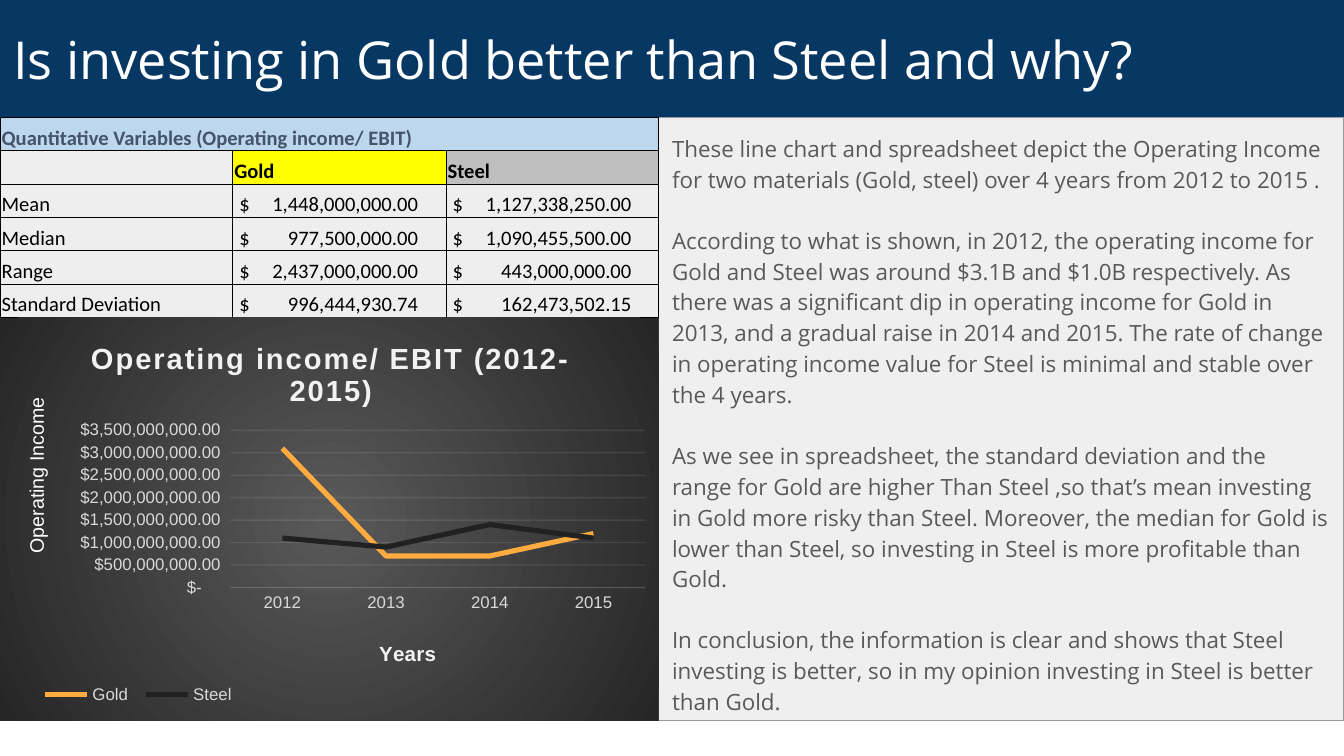
import lxml.etree
import pptx
import pptx.chart.data
import pptx.dml.color
import pptx.enum.chart
import pptx.enum.shapes
import pptx.enum.text
import pptx.oxml
import pptx.oxml.ns
import pptx.util

RGB = pptx.dml.color.RGBColor
NAVY = RGB(0x07, 0x37, 0x63)
WHITE = RGB(0xFF, 0xFF, 0xFF)
BLACK = RGB(0, 0, 0)
PANEL = RGB(0xEF, 0xEF, 0xEF)
PANEL_LINE = RGB(0x99, 0x99, 0x99)
BACKING = RGB(0xEE, 0xEE, 0xEE)
GREY = RGB(0x59, 0x59, 0x59)
SLATE = RGB(0x44, 0x54, 0x6A)
SKY = RGB(0xBD, 0xD7, 0xEE)
YELLOW = RGB(0xFF, 0xFF, 0)
SILVER = RGB(0xBF, 0xBF, 0xBF)
PALE = RGB(0xF2, 0xF2, 0xF2)
LABEL = RGB(0xD9, 0xD9, 0xD9)
ORANGE = RGB(0xFF, 0xAB, 0x40)
COAL = RGB(0x21, 0x21, 0x21)

EMU_PER_PX = 5715
TITLE = "Is investing in Gold better than Steel and why?"
COMMENTARY = [
    "These line chart and spreadsheet depict the Operating Income for two materials (Gold, steel) over 4 years from 2012 to 2015 .",
    "According to what is shown, in 2012, the operating income for Gold and Steel was around $3.1B and $1.0B respectively. As there was a significant dip in operating income for Gold in 2013, and a gradual raise in 2014 and 2015. The rate of change in operating income value for Steel is minimal and stable over the 4 years.",
    "As we see in spreadsheet, the standard deviation and the range for Gold are higher Than Steel ,so that’s mean investing in Gold more risky than Steel. Moreover, the median for Gold is lower than Steel, so investing in Steel is more profitable than Gold.",
    "In conclusion, the information is clear and shows that Steel investing is better, so in my opinion investing in Steel is better than Gold.",
]
TABLE_ROWS = [
    ["Quantitative Variables (Operating income/ EBIT)", "", ""],
    ["", "Gold", "Steel"],
    ["Mean", "$\t1,448,000,000.00", "$\t1,127,338,250.00"],
    ["Median", "$\t977,500,000.00", "$\t1,090,455,500.00"],
    ["Range", "$\t2,437,000,000.00", "$\t443,000,000.00"],
    ["Standard Deviation", "$\t996,444,930.74", "$\t162,473,502.15"],
]
CELL_FILLS = {(0, 0): SKY, (1, 1): YELLOW, (1, 2): SILVER}
YEARS = ["2012", "2013", "2014", "2015"]
INCOMES = [
    ("Gold", [3100000000, 700000000, 700000000, 1200000000], ORANGE),
    ("Steel", [1100000000, 900000000, 1400000000, 1100000000], COAL),
]
MONEY = '_("$"* #,##0.00_);_("$"* \\(#,##0.00\\);_("$"* "-"??_);_(@_)'


def px(length):
    return pptx.util.Emu(length * EMU_PER_PX)


def element(source):
    names = pptx.oxml.ns.nsdecls("a", "c")
    tag, rest = source[1:].split(" ", 1)
    return pptx.oxml.parse_xml(f"<{tag} {names} {rest}")


def write(para, text, size, color, font="Arial", bold=False, spacing=None):
    span = para.add_run()
    span.text = text
    span.font.size = pptx.util.Pt(size)
    span.font.name = font
    span.font.bold = bold
    span.font.color.rgb = color
    if spacing:
        span.font._element.set("spc", str(spacing))


def place(shape, box):
    shape.left, shape.top, shape.width, shape.height = map(px, box)


def set_margins(frame):
    frame.margin_left = frame.margin_right = px(16)
    frame.margin_top = frame.margin_bottom = px(16)
    frame.word_wrap = True
    frame.auto_size = pptx.enum.text.MSO_AUTO_SIZE.NONE


def build_title(slide, box):
    title = slide.shapes.title
    place(title, box)
    title.fill.solid()
    title.fill.fore_color.rgb = NAVY
    set_margins(title.text_frame)
    title.text_frame.vertical_anchor = pptx.enum.text.MSO_ANCHOR.MIDDLE
    para = title.text_frame.paragraphs[0]
    para.alignment = pptx.enum.text.PP_ALIGN.LEFT
    write(para, TITLE, 28, WHITE, "Open Sans")


def build_commentary(slide, box):
    body = slide.placeholders[1]
    place(body, box)
    body.fill.solid()
    body.fill.fore_color.rgb = PANEL
    body.line.color.rgb = PANEL_LINE
    body.line.width = pptx.util.Pt(0.75)
    frame = body.text_frame
    set_margins(frame)
    for index, text in enumerate(COMMENTARY):
        para = frame.add_paragraph() if index else frame.paragraphs[0]
        para.line_spacing = 1.15
        para.space_before = pptx.util.Pt(0)
        para.space_after = pptx.util.Pt(16)
        settings = para._p.get_or_add_pPr()
        settings.set("marL", "0")
        settings.set("indent", "0")
        settings.append(element("<a:buNone />"))
        write(para, text, 12, GREY, "Open Sans")


def build_backing(slide, box):
    backing = slide.shapes.add_shape(pptx.enum.shapes.MSO_SHAPE.RECTANGLE, *map(px, box))
    backing.shadow.inherit = False
    backing.fill.solid()
    backing.fill.fore_color.rgb = BACKING
    backing.line.color.rgb = GREY
    backing.line.width = pptx.util.Pt(0.75)


def format_cell(cell, text, fill, color, bold):
    cell.margin_left = px(8 if "\t" in text else 2)
    cell.margin_right = cell.margin_top = px(2)
    cell.margin_bottom = 0
    cell.vertical_anchor = pptx.enum.text.MSO_ANCHOR.BOTTOM
    if fill:
        cell.fill.solid()
        cell.fill.fore_color.rgb = fill
    else:
        cell.fill.background()
    for index, side in enumerate("LRTB"):
        border = element(f'<a:ln{side} w="6350"><a:solidFill><a:srgbClr val="{BLACK}"/></a:solidFill></a:ln{side}>')
        cell._tc.get_or_add_tcPr().insert(index, border)
    para = cell.text_frame.paragraphs[0]
    if "\t" in text:
        stops = element(f'<a:tabLst ><a:tab pos="{px(213)}" algn="r"/></a:tabLst>')
        para._p.get_or_add_pPr().append(stops)
    if text:
        write(para, text, 11, color, "Calibri", bold)
    else:
        para._p.append(element('<a:endParaRPr sz="1100"/>'))


def build_table(slide, box):
    height = px(box[3])
    table = slide.shapes.add_table(len(TABLE_ROWS), 3, *map(px, box)).table
    table.first_row = table.horz_banding = False
    for column, width in zip(table.columns, (277, 254, 253)):
        column.width = px(width)
    for row in table.rows:
        row.height = height // len(TABLE_ROWS)
    for row, texts in enumerate(TABLE_ROWS):
        for column, text in enumerate(texts):
            color = BLACK if row else SLATE
            format_cell(table.cell(row, column), text, CELL_FILLS.get((row, column)), color, row < 2)
    table.cell(0, 0).merge(table.cell(0, 2))


def set_layout(parent, index, target="", **fractions):
    for old in parent.findall(pptx.oxml.ns.qn("c:layout")):
        parent.remove(old)
    modes = "".join(f'<c:{axis}Mode val="edge"/>' for axis in "xy")
    values = "".join(f'<c:{name} val="{value}"/>' for name, value in fractions.items())
    layout = f"<c:layout ><c:manualLayout>{target}{modes}{values}</c:manualLayout></c:layout>"
    parent.insert(index, element(layout))


def build_chart(slide, box):
    data = pptx.chart.data.CategoryChartData(number_format=MONEY)
    data.categories = YEARS
    for name, values, color in INCOMES:
        data.add_series(name, values)
    kinds = pptx.enum.chart
    chart = slide.shapes.add_chart(kinds.XL_CHART_TYPE.LINE, *map(px, box), data).chart
    chart.font.name = "Arial"
    chart.font.size = pptx.util.Pt(9)
    chart.font.color.rgb = LABEL
    chart.plots[0].vary_by_categories = False
    for series, (name, values, color) in zip(chart.plots[0].series, INCOMES):
        series.smooth = False
        series.marker.style = kinds.XL_MARKER_STYLE.NONE
        series.format.line.color.rgb = color
        series.format.line.width = pptx.util.Pt(2.75)
    years, income = chart.category_axis, chart.value_axis
    for axis in (years, income):
        axis.major_tick_mark = axis.minor_tick_mark = kinds.XL_TICK_MARK.NONE
    income.minimum_scale, income.maximum_scale, income.major_unit = 0, 3500000000, 500000000
    income.tick_labels.number_format = MONEY
    income.tick_labels.number_format_is_linked = False
    income.format.line.fill.background()
    for line in (years.format.line, income.major_gridlines.format.line):
        line.color.rgb = PALE
        line.width = pptx.util.Pt(0.75)
    chart.has_title = chart.has_legend = True
    headings = [
        (chart.chart_title, "Operating income/ EBIT (2012-2015)", 15.6, PALE, True, 100, 0.13, 0.04),
        (years.axis_title, "Years", 11, PALE, True, None, 0.57, 0.79),
        (income.axis_title, "Operating Income", 10.5, WHITE, False, None, 0.03, 0.19),
    ]
    for title, text, size, color, bold, spacing, x, y in headings:
        write(title.text_frame.paragraphs[0], text, size, color, bold=bold, spacing=spacing)
        set_layout(title._element, 1, x=x, y=y)
    chart.legend.position = kinds.XL_LEGEND_POSITION.BOTTOM
    chart.legend.include_in_layout = False
    set_layout(chart.legend._element, 1, x=0.05, y=0.9, w=0.32, h=0.07)
    root = chart.element
    inner = '<c:layoutTarget val="inner"/>'
    set_layout(root.xpath("//c:plotArea")[0], 0, inner, x=0.35, y=0.28, w=0.63, h=0.39)
    for color in root.xpath("//c:catAx/c:spPr//a:srgbClr | //c:majorGridlines//a:srgbClr"):
        color.append(element('<a:alpha val="10000"/>'))
    root.xpath("//c:valAx/c:title//a:bodyPr")[0].set("rot", "-5400000")
    root.xpath("c:chart")[0].addnext(element(
        '<c:spPr ><a:gradFill><a:gsLst><a:gs pos="0"><a:srgbClr val="595959"/></a:gs>'
        '<a:gs pos="100000"><a:srgbClr val="262626"/></a:gs></a:gsLst><a:path path="circle">'
        '<a:fillToRect l="50000" t="50000" r="50000" b="50000"/></a:path></a:gradFill>'
        "<a:ln><a:noFill/></a:ln></c:spPr>"))


def main():
    deck = pptx.Presentation()
    deck.slide_width, deck.slide_height = px(1600), px(900)
    slide = deck.slides.add_slide(deck.slide_layouts[1])
    build_title(slide, (0, 0, 1600, 140))
    build_commentary(slide, (784, 140, 816, 718))
    build_backing(slide, (0, 140, 784, 718))
    build_table(slide, (0, 140, 784, 238))
    build_chart(slide, (0, 378, 784, 480))
    deck.save("out.pptx")


if __name__ == "__main__":
    main()
